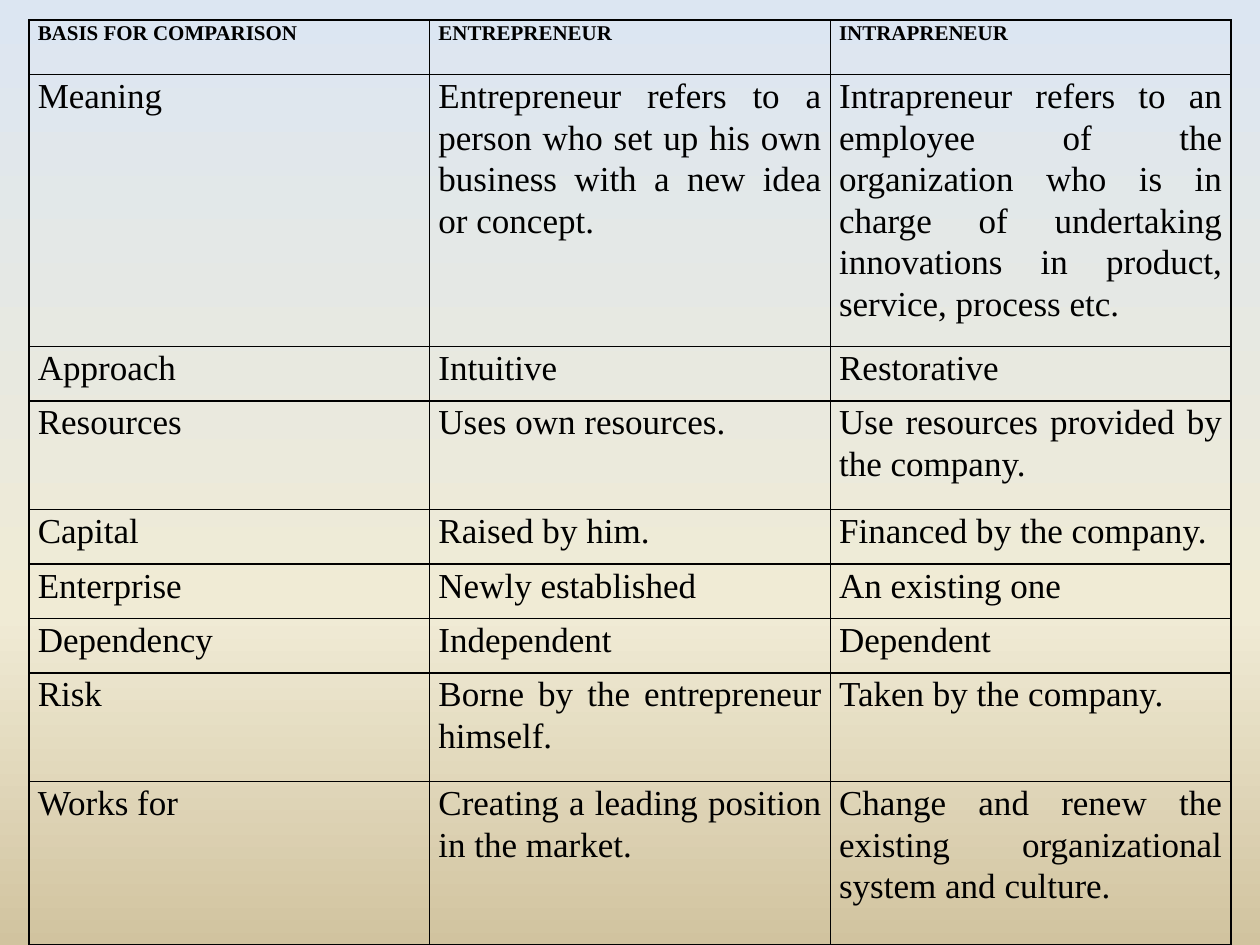
from copy import deepcopy
from dataclasses import dataclass

from lxml import etree
from pptx import Presentation
from pptx.dml.color import RGBColor
from pptx.enum.text import PP_ALIGN
from pptx.oxml.ns import qn
from pptx.util import Inches, Pt

JUSTIFY = PP_ALIGN.JUSTIFY


@dataclass(frozen=True)
class Theme:
    font: str = "Times New Roman"
    ink: str = "000000"
    head_size: int = 12
    body_size: int = 20
    border: float = 1
    stops: tuple = ((0, "DCE6F2"), (0.65, "F0EBD5"), (1, "D1C39F"))


@dataclass(frozen=True)
class Row:
    units: int  # height in grid units
    texts: tuple
    head: bool = False


THEME = Theme()
WIDTH, HEIGHT = Inches(10), Inches(7.5)
LEFT, TOP = Inches(0.23), Inches(0.16)
COLS = 3

ROWS = (
    Row(1, ("BASIS FOR COMPARISON", "ENTREPRENEUR", "INTRAPRENEUR"), head=True),
    Row(5, ("Meaning",
            "Entrepreneur refers to a person who set up his own business "
            "with a new idea or concept.",
            "Intrapreneur refers to an employee of the organization who is in "
            "charge of undertaking innovations in product, service, process etc.")),
    Row(1, ("Approach", "Intuitive", "Restorative")),
    Row(2, ("Resources", "Uses own resources.",
            "Use resources provided by the company.")),
    Row(1, ("Capital", "Raised by him.", "Financed by the company.")),
    Row(1, ("Enterprise", "Newly established", "An existing one")),
    Row(1, ("Dependency", "Independent", "Dependent")),
    Row(2, ("Risk", "Borne by the entrepreneur himself.", "Taken by the company.")),
    Row(3, ("Works for", "Creating a leading position in the market.",
            "Change and renew the existing organizational system and culture.")),
)


def paint_background(slide) -> None:
    """Vertical gradient with the theme's stops."""
    fill = slide.background.fill
    fill.gradient()
    fill.gradient_angle = 270
    stop_list = slide.element.find(".//" + qn("a:gsLst"))
    while len(stop_list) < len(THEME.stops):
        stop_list.append(deepcopy(stop_list[-1]))
    for stop, (position, color) in zip(fill.gradient_stops, THEME.stops):
        stop.position = position
        stop.color.rgb = RGBColor.from_string(color)


def add_borders(cell) -> None:
    """Solid line on all four sides; lines must precede the fill."""
    props = cell._tc.get_or_add_tcPr()
    for i, side in enumerate(("a:lnL", "a:lnR", "a:lnT", "a:lnB")):
        line = etree.Element(qn(side), w=str(Pt(THEME.border)))
        solid = etree.SubElement(line, qn("a:solidFill"))
        etree.SubElement(solid, qn("a:srgbClr"), val=THEME.ink)
        props.insert(i, line)


def write_text(cell, text: str, *, size: float, bold: bool = False) -> None:
    cell.margin_left = cell.margin_right = Inches(0.07)
    cell.margin_top = cell.margin_bottom = 0
    p = cell.text_frame.paragraphs[0]
    p.alignment = JUSTIFY
    p.line_spacing = 1.07
    p.space_after = Pt(12)
    r = p.add_run()
    r.text = text
    r.font.name = THEME.font
    r.font.size = Pt(size)
    r.font.bold = bold
    r.font.color.rgb = RGBColor.from_string(THEME.ink)


def add_comparison(slide, rows: tuple[Row, ...]) -> None:
    width, height = WIDTH - 2 * LEFT, HEIGHT - TOP
    unit = height / sum(row.units for row in rows)
    table = slide.shapes.add_table(len(rows), COLS, LEFT, TOP, width, height).table
    table.first_row = table.horz_banding = False
    for column in table.columns:
        column.width = width // COLS
    for i, row in enumerate(rows):
        table.rows[i].height = round(unit * row.units)
        size = THEME.head_size if row.head else THEME.body_size
        for j, text in enumerate(row.texts):
            cell = table.cell(i, j)
            cell.fill.background()
            add_borders(cell)
            write_text(cell, text, size=size, bold=row.head)


def main() -> None:
    prs = Presentation()
    prs.slide_width, prs.slide_height = WIDTH, HEIGHT
    slide = prs.slides.add_slide(prs.slide_layouts[6])
    paint_background(slide)
    add_comparison(slide, ROWS)
    prs.save("out.pptx")


if __name__ == "__main__":
    main()
